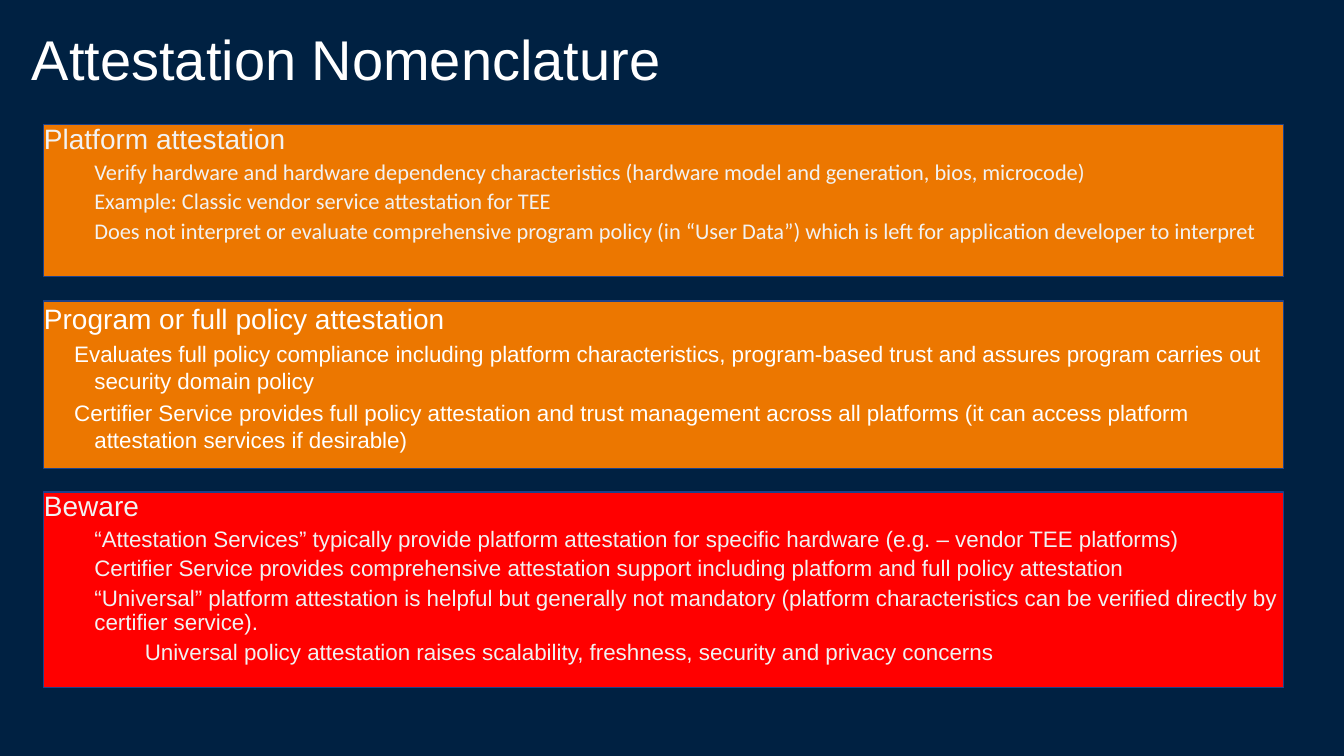
"""Build the Attestation Nomenclature slide."""
from pptx import Presentation
from pptx.dml.color import RGBColor
from pptx.enum.shapes import MSO_SHAPE
from pptx.enum.text import MSO_ANCHOR, MSO_AUTO_SIZE, PP_ALIGN
from pptx.util import Emu, Inches, Pt

TITLE = "Attestation Nomenclature"
PANELS = [
    {
        "top": 125, "height": 152, "fill": "orange", "color": "pale",
        "font": "Calibri", "spacing": 0.9, "hanging": 0,
        "heading": "Platform attestation",
        "points": [
            (1, "Verify hardware and hardware dependency characteristics (hardware model and generation, bios, microcode)"),
            (1, "Example: Classic vendor service attestation for TEE"),
            (1, "Does not interpret or evaluate comprehensive program policy (in “User Data”) which is left for application developer to interpret"),
        ],
    },
    {
        "top": 301, "height": 168, "fill": "orange", "color": "white",
        "font": "Arial", "spacing": 1.0, "hanging": -0.2,
        "heading": "Program or full policy attestation",
        "points": [
            (1, "Evaluates full policy compliance including platform characteristics, program-based trust and assures program carries out security domain policy"),
            (1, "Certifier Service provides full policy attestation and trust management across all platforms (it can access platform attestation services if desirable)"),
        ],
    },
    {
        "top": 492, "height": 196, "fill": "red", "color": "pale",
        "font": "Arial", "spacing": 0.9, "hanging": 0,
        "heading": "Beware",
        "points": [
            (1, "“Attestation Services” typically provide platform attestation for specific hardware (e.g. – vendor TEE platforms)"),
            (1, "Certifier Service provides comprehensive attestation support including platform and full policy attestation"),
            (1, "“Universal” platform attestation is helpful but generally not mandatory (platform characteristics can be verified directly by certifier service)."),
            (2, "Universal policy attestation raises scalability, freshness, security and privacy concerns"),
        ],
    },
]
COLORS = {"navy": "002142", "orange": "EC7700", "red": "FF0000",
          "border": "1D418A", "white": "FFFFFF", "pale": "F2F2F2"}
PANEL_LEFT, PANEL_WIDTH = 44, 1240
FRAME_FORMAT = {"margin_left": 0, "margin_top": 0, "margin_right": 0,
                "margin_bottom": 0, "auto_size": MSO_AUTO_SIZE.NONE}


def px(length):
    return Emu(round(length * 914400 / 100.8))


def color(name):
    return RGBColor.from_string(COLORS[name])


def format_object(target, values):
    for name, value in values.items():
        setattr(target, name, value)


def place(shape, left, top, width, height):
    format_object(shape, {"left": px(left), "top": px(top),
                          "width": px(width), "height": px(height)})


def write(paragraph, text, size, font, color_name, spacing):
    paragraph.text = text
    format_object(paragraph, {"alignment": PP_ALIGN.LEFT, "line_spacing": spacing})
    format_object(paragraph.font, {"size": Pt(size), "name": font, "bold": False})
    paragraph.font.color.rgb = color(color_name)


def add_panel(slide, panel):
    shape = slide.shapes.add_shape(
        MSO_SHAPE.RECTANGLE, px(PANEL_LEFT), px(panel["top"]),
        px(PANEL_WIDTH), px(panel["height"]))
    shape.shadow.inherit = False
    shape.fill.solid()
    shape.fill.fore_color.rgb = color(panel["fill"])
    shape.line.color.rgb = color("border")
    shape.line.width = Pt(0.75)
    frame = shape.text_frame
    format_object(frame, {**FRAME_FORMAT, "word_wrap": True,
                          "vertical_anchor": MSO_ANCHOR.TOP})
    write(frame.paragraphs[0], panel["heading"], 20, "Arial",
          panel["color"], panel["spacing"])
    for level, text in panel["points"]:
        paragraph = frame.add_paragraph()
        write(paragraph, text, 16, panel["font"], panel["color"], panel["spacing"])
        format_object(paragraph, {"level": level, "space_before": Pt(4)})
        properties = paragraph._p.get_or_add_pPr()
        properties.set("marL", str(Inches(0.5 * level)))
        properties.set("indent", str(Inches(panel["hanging"])))


def main():
    presentation = Presentation()
    format_object(presentation, {"slide_width": px(1344), "slide_height": px(756)})
    slide = presentation.slides.add_slide(presentation.slide_layouts[5])
    slide.background.fill.solid()
    slide.background.fill.fore_color.rgb = color("navy")
    title = slide.shapes.title
    place(title, 32, 2, 1220, 91)
    format_object(title.text_frame, {**FRAME_FORMAT, "word_wrap": False,
                                     "vertical_anchor": MSO_ANCHOR.BOTTOM})
    write(title.text_frame.paragraphs[0], TITLE, 40, "Arial", "white", 0.9)
    for panel in PANELS:
        add_panel(slide, panel)
    presentation.save("out.pptx")


if __name__ == "__main__":
    main()
